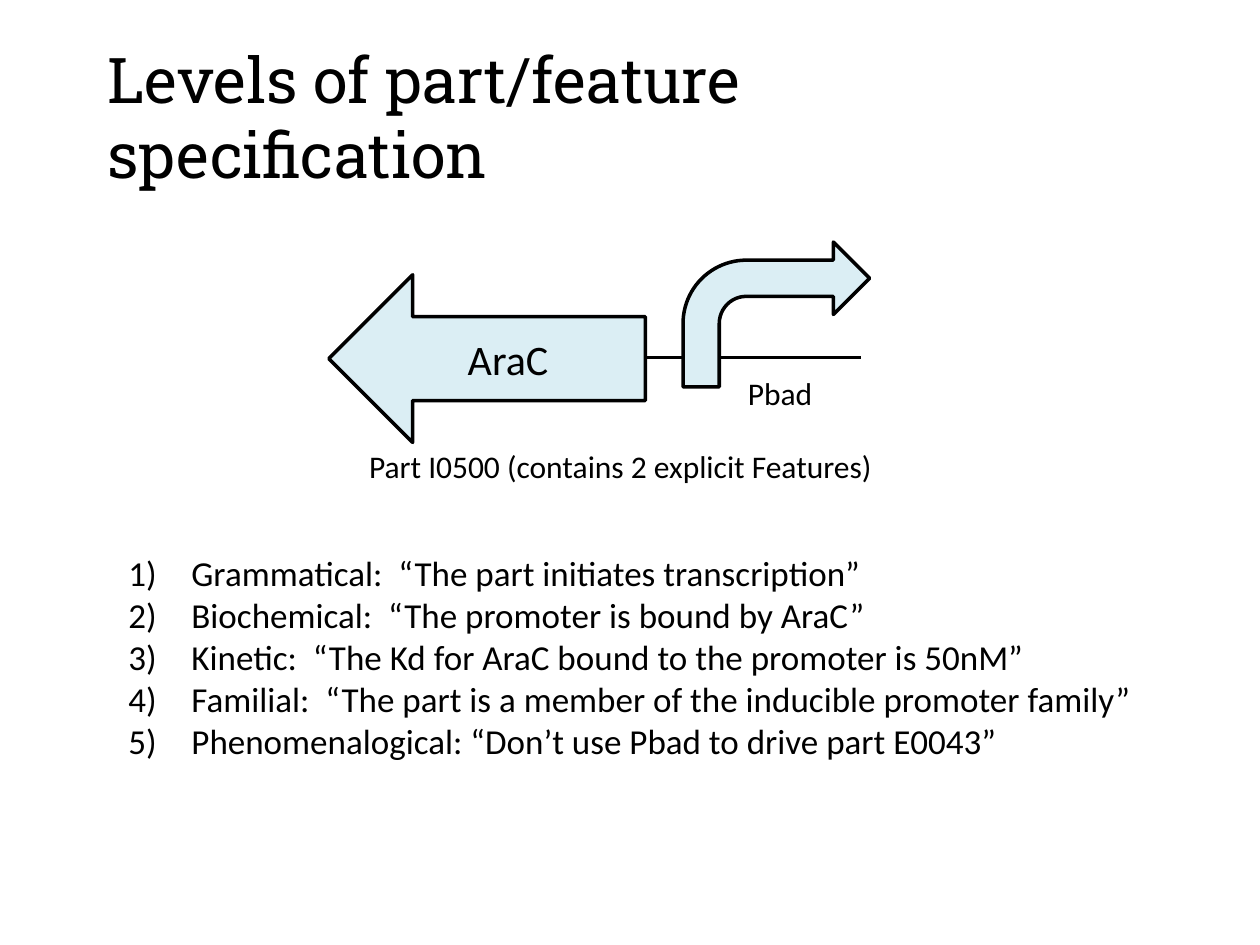
from pptx import Presentation
from pptx.dml.color import RGBColor
from pptx.enum.shapes import MSO_CONNECTOR, MSO_SHAPE
from pptx.enum.text import MSO_ANCHOR, PP_ALIGN
from pptx.oxml.ns import qn
from pptx.util import Cm, Pt
from lxml import etree

BLACK = RGBColor(0x00, 0x00, 0x00)
PALE_BLUE = RGBColor(0xDB, 0xEE, 0xF4)
TITLE_FONT, BODY_FONT = "Roboto Slab", "Calibri"
LEFT, CENTER = PP_ALIGN.LEFT, PP_ALIGN.CENTER
MIDDLE = MSO_ANCHOR.MIDDLE
LEFT_ARROW, BENT_ARROW = MSO_SHAPE.LEFT_ARROW, MSO_SHAPE.BENT_ARROW
STRAIGHT = MSO_CONNECTOR.STRAIGHT

LEVELS = [
    "Grammatical:  “The part initiates transcription”",
    "Biochemical:  “The promoter is bound by AraC”",
    "Kinetic:  “The Kd for AraC bound to the promoter is 50nM”",
    "Familial:  “The part is a member of the inducible promoter family”",
    "Phenomenalogical: “Don’t use Pbad to drive part E0043”",
]


def style(para, size, font=BODY_FONT, align=LEFT):
    para.alignment = align
    para.font.name = font
    para.font.size = Pt(size)
    para.font.color.rgb = BLACK


def add_text(page, box, text, size, font=BODY_FONT, align=LEFT, wrap=True):
    frame = page.shapes.add_textbox(*box).text_frame
    frame.word_wrap = wrap
    frame.text = text
    for para in frame.paragraphs:
        style(para, size, font, align)
    return frame


def add_feature(page, kind, box):
    arrow = page.shapes.add_shape(kind, *box)
    arrow.shadow.inherit = False
    arrow.fill.solid()
    arrow.fill.fore_color.rgb = PALE_BLUE
    arrow.line.color.rgb = BLACK
    arrow.line.width = Pt(2)
    return arrow


def add_title(page, box):
    frame = add_text(page, box, "Levels of part/feature specification", 36, TITLE_FONT)
    frame.vertical_anchor = MIDDLE


def add_part_diagram(page, left, top):
    # DNA backbone behind both features
    backbone_y = top + Cm(2.33)
    backbone = page.shapes.add_connector(
        STRAIGHT, left + Cm(1.12), backbone_y, left + Cm(10.72), backbone_y)
    backbone.line.color.rgb = BLACK
    backbone.line.width = Pt(2)
    etree.SubElement(backbone.element.spPr, qn("a:effectLst"))

    # Coding sequence and promoter
    gene = add_feature(page, LEFT_ARROW, (left, top + Cm(0.66), Cm(6.38), Cm(3.38)))
    gene.text_frame.text = "AraC"
    gene.text_frame.vertical_anchor = MIDDLE
    style(gene.text_frame.paragraphs[0], 24, align=CENTER)
    add_feature(page, BENT_ARROW, (left + Cm(7.14), top, Cm(3.76), Cm(2.92)))

    # Labels
    add_text(page, (left + Cm(8.18), top + Cm(2.54), Cm(1.83), Cm(1.02)),
             "Pbad", 18, align=CENTER, wrap=False)
    add_text(page, (left + Cm(0.56), top + Cm(4.01), Cm(12.27), Cm(1.02)),
             "Part I0500 (contains 2 explicit Features)", 18)


def add_levels(page, box):
    frame = page.shapes.add_textbox(*box).text_frame
    frame.word_wrap = True
    frame.text = "\n".join(LEVELS)
    for para in frame.paragraphs:
        properties = para._p.get_or_add_pPr()
        properties.set("marL", str(Cm(1.27)))
        properties.set("indent", str(-Cm(1.27)))
        etree.SubElement(properties, qn("a:buFont"), typeface="+mj-lt")
        etree.SubElement(properties, qn("a:buAutoNum"), type="arabicParenR")
        style(para, 20)


def main():
    deck = Presentation()
    deck.slide_width, deck.slide_height = Cm(25.4), Cm(19.05)
    page = deck.slides.add_slide(deck.slide_layouts[6])
    add_title(page, (Cm(1.91), Cm(0.43), Cm(20.96), Cm(3.81)))
    add_levels(page, (Cm(2.34), Cm(11), Cm(21.16), Cm(4.52)))
    add_part_diagram(page, Cm(6.63), Cm(4.88))
    deck.save("out.pptx")


if __name__ == "__main__":
    main()
